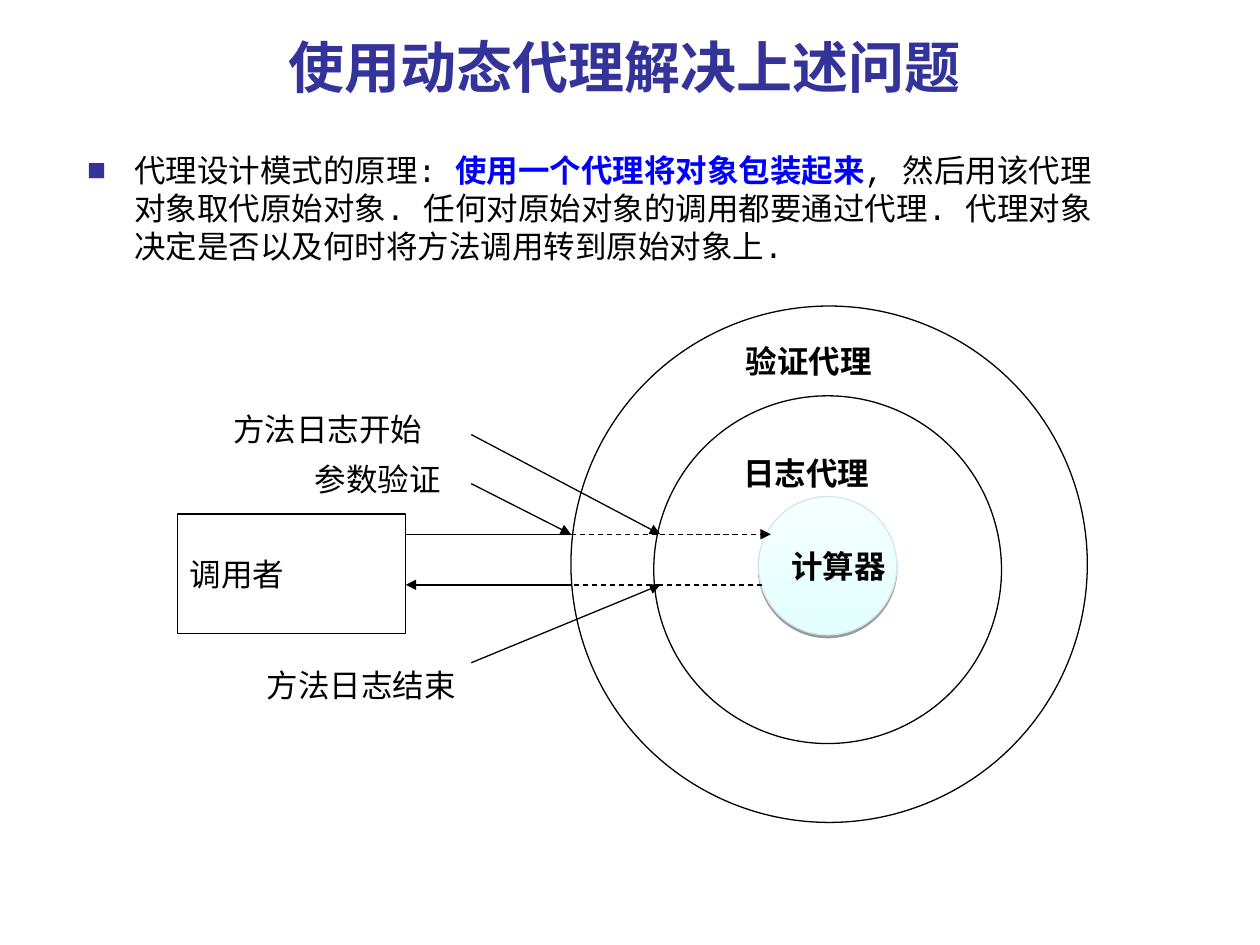
from dataclasses import dataclass

from lxml import etree
from pptx import Presentation
from pptx.dml.color import RGBColor
from pptx.enum.dml import MSO_LINE
from pptx.enum.shapes import MSO_CONNECTOR, MSO_SHAPE
from pptx.enum.text import MSO_ANCHOR, MSO_AUTO_SIZE, PP_ALIGN
from pptx.oxml.ns import qn
from pptx.util import Cm, Pt

RECTANGLE, OVAL = MSO_SHAPE.RECTANGLE, MSO_SHAPE.OVAL
STRAIGHT, DASH = MSO_CONNECTOR.STRAIGHT, MSO_LINE.DASH
LEFT, CENTER = PP_ALIGN.LEFT, PP_ALIGN.CENTER
TOP, MIDDLE = MSO_ANCHOR.TOP, MSO_ANCHOR.MIDDLE
NO_AUTOFIT = MSO_AUTO_SIZE.NONE


@dataclass(frozen=True)
class Theme:
    font: str = "Courier New"
    title_size: int = 32
    text_size: int = 18
    line_width: float = 0.75
    accent: str = "333399"
    highlight: str = "0000FF"
    ink: str = "000000"
    core_bottom: str = "E3FFFF"
    core_top: str = "F6FFFF"
    core_line: str = "D4E8E9"


THEME = Theme()
HANGING = Cm(0.95)

TITLE = "使用动态代理解决上述问题"
TITLE_AREA = (0.1, 0.33, 25, 2)
PRINCIPLE = [
    ("代理设计模式的原理: ", False),
    ("使用一个代理将对象包装起来", True),
    (", 然后用该代理对象取代原始对象. 任何对原始对象的调用都要通过代理. "
     "代理对象决定是否以及何时将方法调用转到原始对象上.", False),
]
PRINCIPLE_AREA = (1.5, 2.92, 21.39, 4.45)

CALLER = ("调用者", (3.58, 10.36, 4.6, 2.41))
CORE = ("计算器", (15.29, 10.01, 2.79, 2.79))
RINGS = [(13.18, 7.98, 7.01), (11.51, 6.17, 10.41)]

LABEL_HEIGHT = 1.02
LABELS = [
    ("日志代理", 14.73, 9.02, 3.89, True),
    ("验证代理", 14.78, 6.78, 3.89, True),
    ("参数验证", 6.1, 9.14, 3.4, False),
    ("方法日志开始", 4.45, 8.15, 5.61, False),
    ("方法日志结束", 5.13, 13.31, 5, False),
]

CALL_Y, RETURN_Y = 10.77, 11.79
CALLER_X, NOTE_X, OUTER_X, INNER_X = 8.18, 9.5, 11.51, 13.31
LINES = [
    ((CALLER_X, CALL_Y), (OUTER_X, CALL_Y), False, False),
    ((OUTER_X, CALL_Y), (INNER_X, CALL_Y), True, False),
    ((INNER_X, CALL_Y), (15.54, CALL_Y), True, True),
    ((15.37, RETURN_Y), (INNER_X, RETURN_Y), True, False),
    ((INNER_X, RETURN_Y), (OUTER_X, RETURN_Y), True, False),
    ((OUTER_X, RETURN_Y), (CALLER_X, RETURN_Y), False, True),
    ((NOTE_X, 9.75), (OUTER_X, CALL_Y), False, True),
    ((NOTE_X, 8.76), (INNER_X, CALL_Y), False, True),
    ((NOTE_X, 13.36), (INNER_X, RETURN_Y), False, True),
]


def lengths(values):
    return [Cm(value) for value in values]


def color(code):
    return RGBColor.from_string(code)


def add_element(parent, tag, **attributes):
    return etree.SubElement(parent, qn(tag), attributes)


def place(shape, area):
    shape.left, shape.top, shape.width, shape.height = lengths(area)


def style_font(para, size, code, bold=False):
    para.font.name = THEME.font
    para.font.size = Pt(size)
    para.font.bold = bold
    para.font.color.rgb = color(code)


def set_hanging(para):
    properties = para._p.get_or_add_pPr()
    properties.set("marL", str(HANGING))
    properties.set("indent", str(-HANGING))
    return properties


def write_label(shape, text, anchor, wrap, bold=False):
    frame = shape.text_frame
    frame.word_wrap = wrap
    frame.vertical_anchor = anchor
    para = frame.paragraphs[0]
    para.text = text
    para.alignment = LEFT
    set_hanging(para)
    style_font(para, THEME.text_size, THEME.ink, bold)


def add_outline(page, kind, area, code=THEME.ink):
    shape = page.shapes.add_shape(kind, *lengths(area))
    shape.shadow.inherit = False
    shape.fill.background()
    shape.line.color.rgb = color(code)
    shape.line.width = Pt(THEME.line_width)
    return shape


def add_title(page):
    title = page.shapes.title
    place(title, TITLE_AREA)
    title.text_frame.auto_size = NO_AUTOFIT
    title.text_frame.vertical_anchor = MIDDLE
    para = title.text_frame.paragraphs[0]
    para.text = TITLE
    para.alignment = CENTER
    style_font(para, THEME.title_size, THEME.accent, True)


def add_principle(page):
    body = page.placeholders[1]
    place(body, PRINCIPLE_AREA)
    body.text_frame.auto_size = NO_AUTOFIT
    para = body.text_frame.paragraphs[0]
    properties = set_hanging(para)
    bullet_color = add_element(properties, "a:buClr")
    add_element(bullet_color, "a:srgbClr", val=THEME.accent)
    add_element(properties, "a:buChar", char="■")
    para.space_before = Pt(4.5)
    style_font(para, THEME.text_size, THEME.ink)
    for text, highlighted in PRINCIPLE:
        span = para.add_run()
        span.text = text
        if highlighted:
            span.font.bold = True
            span.font.color.rgb = color(THEME.highlight)


def add_core(page):
    text, area = CORE
    core = add_outline(page, OVAL, area, THEME.core_line)
    core.fill.gradient()
    core.fill.gradient_angle = 90
    for stop, code in zip(core.fill.gradient_stops, (THEME.core_bottom, THEME.core_top)):
        stop.color.rgb = color(code)
    effects = core._element.spPr.find(qn("a:effectLst"))
    shadow = add_element(effects, "a:outerShdw", blurRad="0", dist=str(Pt(1.6)),
                         dir="5400000", rotWithShape="0")
    tint = add_element(shadow, "a:srgbClr", val=THEME.ink)
    add_element(tint, "a:alpha", val="38000")
    write_label(core, text, MIDDLE, False, True)


def add_line(page, start, end, dashed, arrow):
    line = page.shapes.add_connector(STRAIGHT, *lengths(start + end))
    line.line.color.rgb = color(THEME.ink)
    line.line.width = Pt(THEME.line_width)
    if dashed:
        line.line.dash_style = DASH
    if arrow:
        add_element(line.line._get_or_add_ln(), "a:tailEnd", type="triangle")
    add_element(line._element.spPr, "a:effectLst")


def main():
    deck = Presentation()
    deck.slide_width, deck.slide_height = Cm(25.4), Cm(19.05)
    page = deck.slides.add_slide(deck.slide_layouts[1])
    add_title(page)
    add_principle(page)
    text, area = CALLER
    write_label(add_outline(page, RECTANGLE, area), text, MIDDLE, False)
    for left, top, size in RINGS:
        add_outline(page, OVAL, (left, top, size, size))
    add_core(page)
    for text, left, top, width, bold in LABELS:
        box = page.shapes.add_textbox(*lengths((left, top, width, LABEL_HEIGHT)))
        write_label(box, text, TOP, True, bold)
    for line in LINES:
        add_line(page, *line)
    deck.save("out.pptx")


if __name__ == "__main__":
    main()
